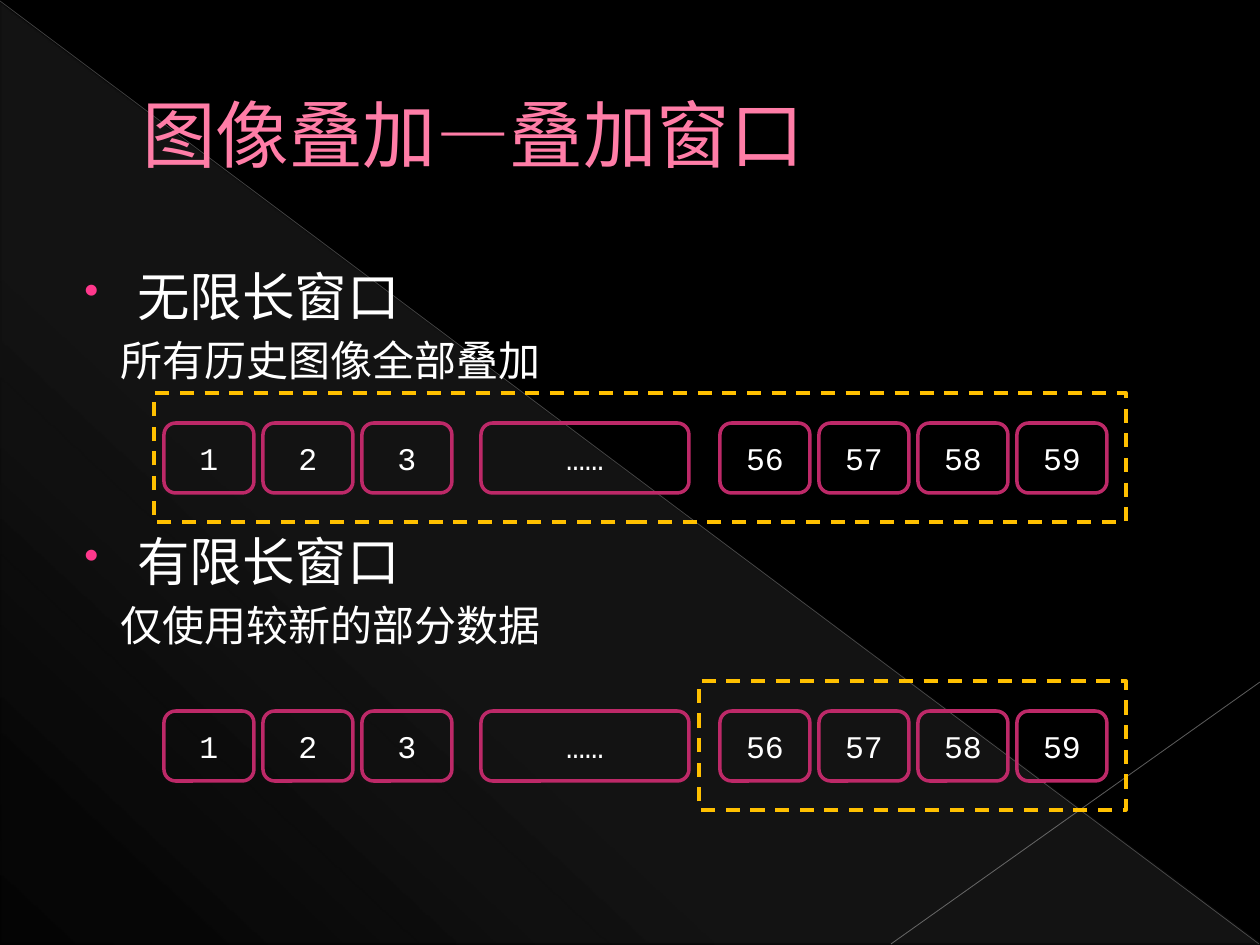
from lxml import etree
from pptx import Presentation
from pptx import util as u
from pptx.dml.color import RGBColor
from pptx.enum import dml, shapes, text
from pptx.oxml import parse_xml
from pptx.oxml.ns import nsdecls, qn

SCALE = 914400 / 126  # EMU per px


def px(value):
    return u.Emu(round(value * SCALE))


def rgb(code):
    return RGBColor.from_string(code)


class Page:
    PINK, ACCENT, BORDER = "FF7DA7", "FF388C", "BD2968"
    GOLD, WHITE, BLACK = "FFC000", "FFFFFF", "000000"
    HEADING, BODY, MONO = "League Spartan", "Noto Sans CJK SC", "Courier New"

    def __init__(self, deck):
        self.slide = deck.slides.add_slide(deck.slide_layouts[6])
        fill = self.slide.background.fill
        fill.solid()
        fill.fore_color.rgb = rgb(self.BLACK)

    def shape(self, kind, left, top, width, height):
        """Add a preset shape with neither shadow nor fill."""
        shape = self.slide.shapes.add_shape(
            kind, px(left), px(top), px(width), px(height))
        shape.shadow.inherit = False
        shape.fill.background()
        return shape

    def style(self, paragraph, size, font, color):
        for span in paragraph.runs:
            span.font.size = u.Pt(size)
            span.font.name = font
            span.font.color.rgb = rgb(color)
            if font != self.MONO:
                latin = span.font._element.find(qn("a:latin"))
                latin.addnext(parse_xml(
                    f'<a:ea {nsdecls("a")} typeface="{self.BODY}"/>'))

    def indent(self, paragraph, margin, first=0):
        properties = paragraph._p.get_or_add_pPr()
        properties.set("marL", str(px(margin)))
        properties.set("indent", str(px(first)))
        return properties

    def backdrop(self, left, top, width, height):
        """Add the pale translucent triangle."""
        triangle = self.shape(shapes.MSO_SHAPE.RIGHT_TRIANGLE,
                              left, top, width, height)
        triangle.line.fill.background()
        stops = "".join(
            f'<a:gs pos="{place * 1000}"><a:srgbClr val="D2D2D2">'
            f'<a:alpha val="{alpha * 1000}"/></a:srgbClr></a:gs>'
            for place, alpha in ((0, 10), (70, 8), (100, 1)))
        properties = triangle._element.spPr
        old = properties.find(qn("a:noFill"))
        properties.replace(old, parse_xml(
            f'<a:gradFill {nsdecls("a")} rotWithShape="1"><a:gsLst>{stops}'
            f'</a:gsLst><a:lin ang="{133 * 60000}" scaled="0"/></a:gradFill>'))

    def ray(self, start, end, color, width, alpha):
        """Add a thin translucent line."""
        line = self.slide.shapes.add_connector(
            shapes.MSO_CONNECTOR.STRAIGHT, *map(px, start + end))
        line.line.color.rgb = rgb(color)
        line.line.width = u.Pt(width)
        properties = line._element.spPr
        tint = properties.find(".//" + qn("a:srgbClr"))
        etree.SubElement(tint, qn("a:alpha")).set("val", str(alpha * 1000))
        etree.SubElement(properties, qn("a:effectLst"))

    def text_box(self, left, top, width, height, words):
        box = self.slide.shapes.add_textbox(
            px(left), px(top), px(width), px(height))
        frame = box.text_frame
        frame.word_wrap = True
        frame.text = words
        return frame

    def title(self, words):
        frame = self.text_box(63, 37, 1134, 193, words)
        frame.vertical_anchor = text.MSO_ANCHOR.MIDDLE
        paragraph = frame.paragraphs[0]
        self.indent(paragraph, 67)
        self.style(paragraph, 42, self.HEADING, self.PINK)

    def topic(self, top, heading, detail):
        """Add a bulleted heading with a line of detail below it."""
        frame = self.text_box(63, top, 1134, 130, f"{heading}\n{detail}")
        first, second = frame.paragraphs
        properties = self.indent(first, 62, -53)
        color = etree.SubElement(properties, qn("a:buClr"))
        etree.SubElement(color, qn("a:srgbClr")).set("val", self.ACCENT)
        etree.SubElement(properties, qn("a:buSzPct")).set("val", "80000")
        etree.SubElement(properties, qn("a:buChar")).set("char", "•")
        first.line_spacing = u.Pt(35)
        self.style(first, 30, self.HEADING, self.WHITE)
        self.indent(second, 45)
        second.line_spacing = u.Pt(28)
        second.space_before = u.Pt(5)
        self.style(second, 24, self.BODY, self.WHITE)

    def card(self, left, top, width, label):
        card = self.shape(shapes.MSO_SHAPE.ROUNDED_RECTANGLE,
                          left, top, width, 70)
        card.line.color.rgb = rgb(self.BORDER)
        card.line.width = u.Pt(2)
        frame = card.text_frame
        frame.text = label
        frame.vertical_anchor = text.MSO_ANCHOR.MIDDLE
        paragraph = frame.paragraphs[0]
        paragraph.alignment = text.PP_ALIGN.CENTER
        self.style(paragraph, 18, self.MONO, self.WHITE)

    def card_row(self, top):
        for first_left, numbers in ((164, range(1, 4)), (720, range(56, 60))):
            for index, number in enumerate(numbers):
                self.card(first_left + 99 * index, top, 90, str(number))
        self.card(481, top, 208, "……")

    def window(self, left, top, right):
        """Add the dashed frame around the images in use."""
        frame = self.shape(shapes.MSO_SHAPE.RECTANGLE,
                           left, top, right - left, 129)
        frame.line.color.rgb = rgb(self.GOLD)
        frame.line.width = u.Pt(2)
        frame.line.dash_style = dml.MSO_LINE.DASH


def main():
    deck = Presentation()
    deck.slide_width, deck.slide_height = px(1260), px(945)
    page = Page(deck)
    page.backdrop(1, 3, 1259, 942)
    page.ray((0, 1), (1259, 944), "BFBFBF", 0.39, 35)
    page.ray((1260, 682), (891, 944), "C6C6C6", 0.47, 45)
    page.title("图像叠加—叠加窗口")
    page.topic(260, "无限长窗口", "所有历史图像全部叠加")
    page.topic(525, "有限长窗口", "仅使用较新的部分数据")
    for row_top, window_left in ((423, 154), (711, 699)):
        page.card_row(row_top)
        page.window(window_left, row_top - 30, 1126)
    deck.save("out.pptx")


if __name__ == "__main__":
    main()
